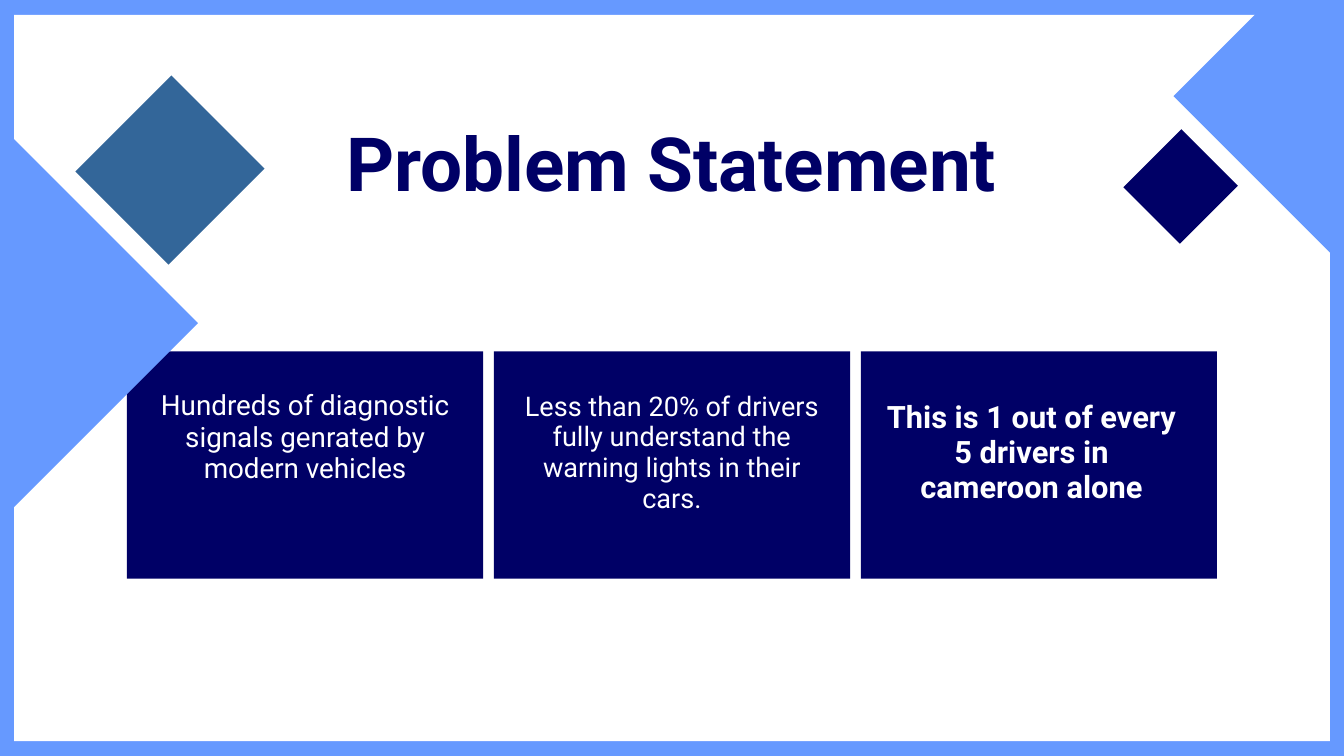
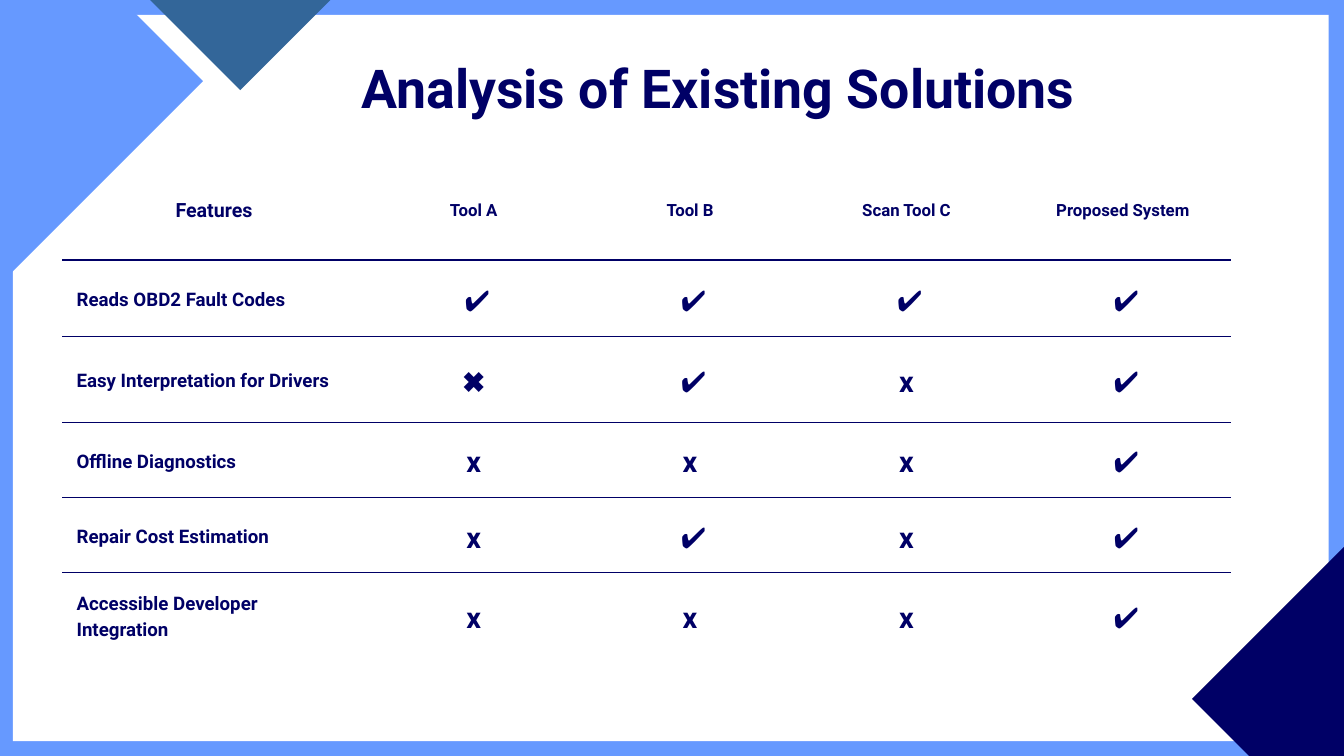
from dataclasses import dataclass

from lxml.etree import SubElement
from pptx import Presentation
from pptx.dml.color import RGBColor
from pptx.enum.shapes import MSO_SHAPE
from pptx.enum.text import MSO_ANCHOR, PP_ALIGN
from pptx.oxml.ns import qn
from pptx.util import Inches, Pt


@dataclass(frozen=True)
class Theme:
    font: str = "Roboto"
    navy: str = "000066"
    sky: str = "6699FF"
    steel: str = "336699"
    white: str = "FFFFFF"
    large_title: float = 80
    small_title: float = 57.4
    corner_head: float = 21
    column_head: float = 18
    feature: float = 20
    mark: float = 31
    title_leading: float = 0.94
    card_leading: float = 1.13
    table_leading: float = 1.4
    heavy_rule: float = 2.25
    thin_rule: float = 0.75


THEME = Theme()

# The slide is a grid of square cells; all lengths below are in cells
COLUMNS, ROWS = 20, 11.25
CELL = Inches(1)

CARD_LEFT, CARD_TOP, CARD_WIDTH, CARD_HEIGHT, CARD_GAP = 1.89, 5.23, 5.3, 3.38, 0.16
# Text box, type size, bold, wording
CARDS = [
    ((2.1, 5.8, 4.88, 1.84), 29.8, False,
     "Hundreds of diagnostic signals genrated by modern vehicles"),
    ((7.77, 5.82, 4.46, 2.24), 29, False,
     "Less than 20% of drivers fully understand the warning lights in their cars."),
    ((13.12, 5.95, 4.46, 1.54), 33, True,
     "This is 1 out of every 5 drivers in cameroon alone"),
]

TABLE_BOX = (0.93, 2.34, 17.39, 7.45)
FEATURE_WIDTH, PRODUCT_WIDTH = 4.51, 3.22
ROW_HEIGHTS = [1.53, 1.14, 1.27, 1.12, 1.12, 1.27]
CELL_INSET, TICK_SHIFT = 0.21, 0.1
SOLUTIONS = [
    ["Features", "Tool A", "Tool B", "Scan Tool C", "Proposed System"],
    ["Reads OBD2 Fault Codes", "✔", "✔", "✔", "✔"],
    ["Easy Interpretation for Drivers", "✖", "✔", "x", "✔"],
    ["Offline Diagnostics", "x", "x", "x", "✔"],
    ["Repair Cost Estimation", "x", "✔", "x", "✔"],
    ["Accessible Developer Integration", "x", "x", "x", "✔"],
]


def cells(*lengths):
    return [round(length * CELL) for length in lengths]


def color(code):
    return RGBColor.from_string(code)


# Shared elements
def add_block(page, area, fill, rotation=0):
    block = page.shapes.add_shape(MSO_SHAPE.RECTANGLE, *cells(*area))
    block.shadow.inherit = False
    block.fill.solid()
    block.fill.fore_color.rgb = color(fill)
    block.line.fill.background()
    block.rotation = rotation


def add_diamond(page, area, fill):
    add_block(page, area, fill, rotation=315)


def write(frame, text, size, leading, ink, bold=True, align=PP_ALIGN.CENTER):
    para = frame.paragraphs[0]
    para.alignment = align
    para.line_spacing = Pt(round(size * leading, 1))
    span = para.add_run()
    span.text = text
    span.font.name = THEME.font
    span.font.size = Pt(size)
    span.font.bold = bold
    span.font.color.rgb = color(ink)


def add_text(page, area, text, size, leading, ink, bold=True):
    frame = page.shapes.add_textbox(*cells(*area)).text_frame
    frame.word_wrap = True
    frame.margin_left = frame.margin_right = 0
    frame.margin_top = frame.margin_bottom = 0
    write(frame, text, size, leading, ink, bold)


def add_title(page, area, text, size):
    add_text(page, area, text, size, THEME.title_leading, THEME.navy)


def add_page(deck, panel_left):
    page = deck.slides.add_slide(deck.slide_layouts[6])
    page.background.fill.solid()
    page.background.fill.fore_color.rgb = color(THEME.sky)
    add_block(page, (panel_left, 0.22, 19.58, 10.81), THEME.white)
    return page


# Table elements
def set_rules(cell, top, bottom):
    properties = cell._tc.get_or_add_tcPr()
    for side, width in (("L", 0), ("R", 0), ("T", top), ("B", bottom)):
        line = SubElement(properties, qn(f"a:ln{side}"), w=str(Pt(width)))
        if width:
            fill = SubElement(line, qn("a:solidFill"))
            SubElement(fill, qn("a:srgbClr"), val=THEME.navy)
        else:
            SubElement(line, qn("a:noFill"))


def cell_size(row, column):
    if row == 0:
        return THEME.column_head if column else THEME.corner_head
    return THEME.mark if column else THEME.feature


def fill_cell(cell, text, row, column):
    rules = [0, THEME.heavy_rule] + [THEME.thin_rule] * (len(SOLUTIONS) - 2) + [0]
    set_rules(cell, rules[row], rules[row + 1])
    cell.fill.background()
    cell.vertical_anchor = MSO_ANCHOR.MIDDLE
    inset, = cells(CELL_INSET)
    cell.margin_left = cell.margin_right = cell.margin_top = cell.margin_bottom = inset
    if text == "✔":
        cell.margin_left, = cells(CELL_INSET + TICK_SHIFT)
    align = PP_ALIGN.LEFT if row and not column else PP_ALIGN.CENTER
    write(cell.text_frame, text, cell_size(row, column), THEME.table_leading,
          THEME.navy, bold=text != "✖", align=align)


def add_comparison(page):
    table = page.shapes.add_table(len(SOLUTIONS), len(SOLUTIONS[0]),
                                  *cells(*TABLE_BOX)).table
    table.first_row = table.horz_banding = False
    for index, column in enumerate(table.columns):
        column.width, = cells(PRODUCT_WIDTH if index else FEATURE_WIDTH)
    for row, height in zip(table.rows, cells(*ROW_HEIGHTS)):
        row.height = height
    for row, texts in enumerate(SOLUTIONS):
        for column, text in enumerate(texts):
            fill_cell(table.cell(row, column), text, row, column)


# Slides
def build_problem(deck):
    page = add_page(deck, 0.21)
    add_title(page, (1.12, 2.02, 17.75, 1.11), "Problem Statement", THEME.large_title)
    for index, (area, size, bold, text) in enumerate(CARDS):
        left = CARD_LEFT + index * (CARD_WIDTH + CARD_GAP)
        add_block(page, (left, CARD_TOP, CARD_WIDTH, CARD_HEIGHT), THEME.navy)
        add_text(page, area, text, size, THEME.card_leading, THEME.white, bold)
    add_diamond(page, (-3.38, 2.5, 5.37, 4.93), THEME.sky)
    add_diamond(page, (18.13, -0.4, 3.75, 3.44), THEME.sky)
    add_diamond(page, (1.52, 1.55, 2.02, 1.96), THEME.steel)
    add_diamond(page, (16.96, 2.18, 1.22, 1.19), THEME.navy)


def build_analysis(deck):
    page = add_page(deck, 0.19)
    add_comparison(page)
    add_title(page, (4.32, 1.02, 12.73, 0.8), "Analysis of Existing Solutions",
              THEME.small_title)
    add_diamond(page, (18.53, 8.23, 4.45, 4.08), THEME.navy)
    add_diamond(page, (-2.22, -0.7, 4.45, 4.08), THEME.sky)
    add_diamond(page, (2.58, -1.06, 2.11, 1.94), THEME.steel)


def main():
    deck = Presentation()
    deck.slide_width, deck.slide_height = cells(COLUMNS, ROWS)
    build_problem(deck)
    build_analysis(deck)
    deck.save("out.pptx")


if __name__ == "__main__":
    main()
